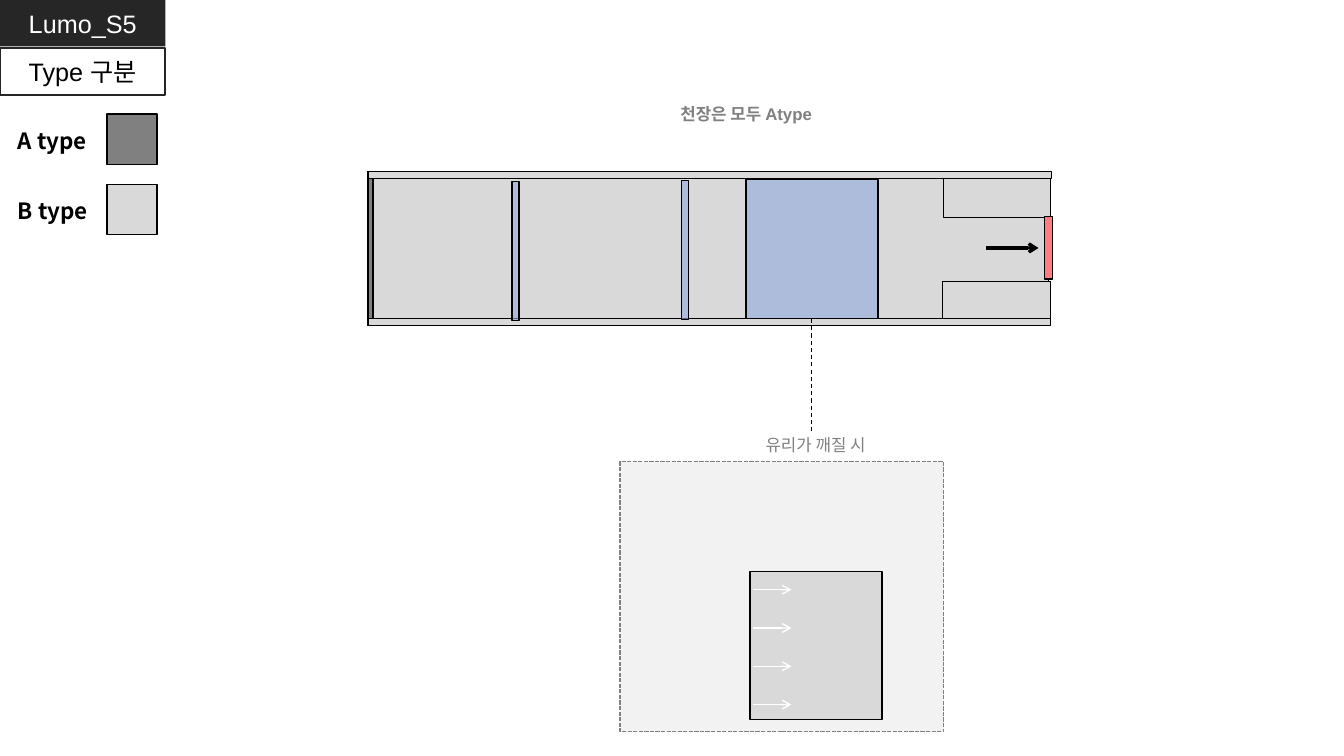
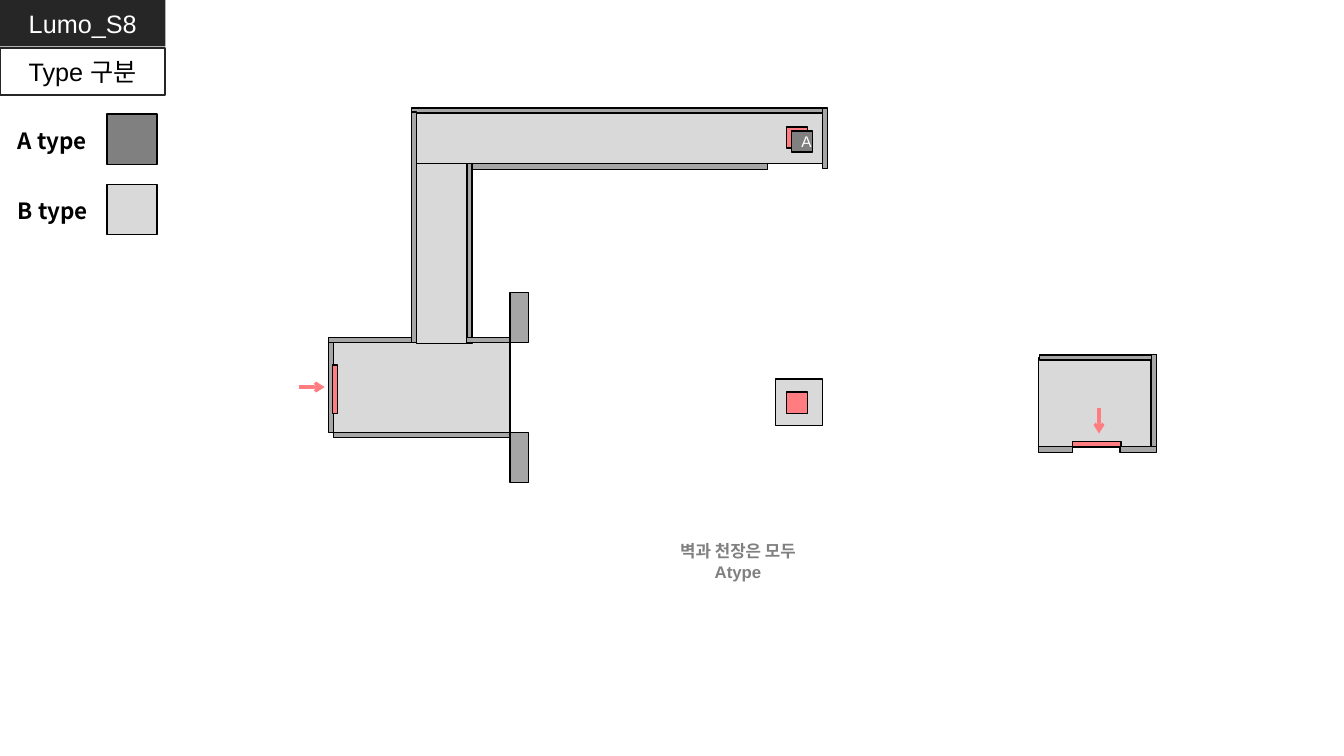
from lxml import etree
from pptx import Presentation
from pptx.dml.color import RGBColor
from pptx.enum import dml, shapes, text
from pptx.oxml import ns
from pptx.util import Inches, Pt

BLACK, WHITE, INK = "000000", "FFFFFF", "262626"
A_TYPE, B_TYPE, WALL = "808080", "D9D9D9", "A6A6A6"
DOOR, GLASS, PANEL = "FF7C80", "8FAADC", "F2F2F2"

LABEL = {"size": Pt(18), "name": "Arial", "bold": False}
LEGEND = {"size": Pt(16), "name": "Noto Sans CJK KR", "bold": True}
NOTE = {"size": Pt(12), "name": "Arial", "bold": False}
BOLD_NOTE = {**NOTE, "bold": True}
MARK = {**NOTE, "size": Pt(11)}
CENTER, LEFT = text.PP_ALIGN.CENTER, text.PP_ALIGN.LEFT
DASH, SHORT_DASH = dml.MSO_LINE.DASH, dml.MSO_LINE.SQUARE_DOT


def rgb(color):
    """Turn a hex string into a colour."""
    return RGBColor.from_string(color)


def apply_format(target, values):
    """Set each attribute named in a dict."""
    for name, value in values.items():
        setattr(target, name, value)


def place(shape, box):
    """Move and size a shape, in inches."""
    edges = (Inches(value) for value in box)
    apply_format(shape, dict(zip(("left", "top", "width", "height"), edges)))


def write(shape, words, font, color, align=CENTER, grow=False):
    """Put one formatted paragraph into a shape."""
    frame = shape.text_frame
    sizing, anchor = text.MSO_AUTO_SIZE, text.MSO_ANCHOR
    apply_format(frame, {
        "word_wrap": True,
        "auto_size": sizing.SHAPE_TO_FIT_TEXT if grow else sizing.NONE,
        "vertical_anchor": anchor.TOP if grow else anchor.MIDDLE,
    })
    paragraph = frame.paragraphs[0]
    paragraph.alignment = align
    run = paragraph.add_run()
    run.text = words
    apply_format(run.font, font)
    run.font.color.rgb = rgb(color)


def set_line(line, color, width, dash=None):
    """Colour a line and set its width and dash."""
    line.color.rgb = rgb(color)
    line.width = Pt(width)
    if dash:
        line.dash_style = dash


def add_box(slide, box, fill, line=BLACK, width=1, dash=None, opacity=100):
    """Add an outlined rectangle."""
    shape = slide.shapes.add_shape(
        shapes.MSO_SHAPE.RECTANGLE, *(Inches(value) for value in box))
    shape.shadow.inherit = False
    shape.fill.solid()
    shape.fill.fore_color.rgb = rgb(fill)
    set_line(shape.line, line, width, dash)
    if opacity < 100:
        color = shape.fill._xPr.find(".//" + ns.qn("a:srgbClr"))
        etree.SubElement(color, ns.qn("a:alpha"), val=str(opacity * 1000))
    return shape


def add_boxes(slide, fill, boxes, opacity=100):
    """Add rectangles that share one fill."""
    for box in boxes:
        add_box(slide, box, fill, opacity=opacity)


def add_text(slide, box, words, font, color, align=CENTER):
    """Add a text box that grows with its text."""
    shape = slide.shapes.add_textbox(*(Inches(value) for value in box))
    write(shape, words, font, color, align, grow=True)


def add_line(slide, start, end, color, width, dash=None, arrow=True):
    """Add a straight connector, with an arrowhead at its end if asked."""
    connector = slide.shapes.add_connector(
        shapes.MSO_CONNECTOR.STRAIGHT,
        *(Inches(value) for value in (*start, *end)))
    set_line(connector.line, color, width, dash)
    if arrow:
        etree.SubElement(connector.line._get_or_add_ln(),
                         ns.qn("a:tailEnd"), type="arrow")
    etree.SubElement(connector._element.spPr, ns.qn("a:effectLst"))


def add_plan_slide(presentation, name):
    """Add a slide with the title, the subtitle and the type legend."""
    slide = presentation.slides.add_slide(presentation.slide_layouts[5])
    title = slide.shapes.title
    place(title, (0, 0, 1.64, 0.46))
    title.fill.solid()
    title.fill.fore_color.rgb = rgb(INK)
    write(title, name, LABEL, WHITE)
    subtitle = add_box(slide, (0, 0.48, 1.64, 0.46), WHITE, INK, 1.5)
    write(subtitle, "Type 구분", LABEL, BLACK)
    for row, (label, fill) in enumerate((("A type", A_TYPE), ("B type", B_TYPE))):
        top = 1.13 + row * 0.7
        add_box(slide, (1.06, top, 0.5, 0.5), fill)
        add_text(slide, (0.08, top + 0.08, 1.07, 0.37), label, LEGEND, BLACK, LEFT)
    return slide


def draw_corridor(slide):
    """Draw the corridor with its glass partitions and exit."""
    add_boxes(slide, B_TYPE, [(7.4, 1.76, 3, 1.47)])
    add_boxes(slide, A_TYPE, [(3.65, 1.7, 0.07, 1.53)])
    add_boxes(slide, B_TYPE, [
        (3.7, 1.76, 3.7, 1.47),
        (9.35, 2.79, 1.07, 0.43),
        (9.36, 1.76, 1.06, 0.4),
        (3.65, 3.16, 6.77, 0.07),
        (3.65, 1.7, 6.78, 0.07),
    ])
    add_boxes(slide, DOOR, [(10.36, 2.15, 0.08, 0.62)])
    add_line(slide, (9.78, 2.46), (10.3, 2.46), BLACK, 2.25)
    add_boxes(slide, GLASS, [
        (5.08, 1.8, 0.07, 1.38),
        (6.76, 1.79, 0.07, 1.38),
        (7.4, 1.78, 1.31, 1.38),
    ], opacity=60)
    add_text(slide, (6.54, 0.98, 1.72, 0.3), "천장은 모두 Atype", BOLD_NOTE, A_TYPE)


def draw_broken_glass(slide):
    """Draw the detail of the room once its glass is broken."""
    add_line(slide, (8.05, 4.28), (8.05, 3.16), BLACK, 0.75, DASH, arrow=False)
    add_box(slide, (6.15, 4.58, 3.21, 2.68), PANEL, A_TYPE, 1, SHORT_DASH)
    add_text(slide, (7.23, 4.26, 1.72, 0.3), "유리가 깨질 시", NOTE, A_TYPE)
    add_boxes(slide, B_TYPE, [(7.44, 5.67, 1.31, 1.47)])
    for row in range(4):
        height = 5.85 + row * 0.38
        add_line(slide, (7.47, height), (7.85, height), WHITE, 1)


def draw_rooms(slide):
    """Draw floors, doors and entry arrows of the three rooms."""
    add_boxes(slide, WALL, [
        (3.26, 3.35, 0.05, 0.94),
        (4.08, 1.07, 4.08, 0.05),
        (4.66, 1.62, 2.95, 0.06),
    ])
    add_boxes(slide, B_TYPE, [(3.31, 3.4, 1.75, 0.89), (4.13, 1.62, 0.5, 1.79)])
    add_boxes(slide, DOOR, [(3.3, 3.62, 0.05, 0.48)])
    add_line(slide, (2.97, 3.84), (3.22, 3.84), DOOR, 2.25)
    add_boxes(slide, B_TYPE, [
        (4.13, 1.12, 4.03, 0.5),
        (7.69, 3.76, 0.47, 0.46),
        (10.3, 3.55, 1.11, 0.89),
    ])
    add_boxes(slide, DOOR, [(7.8, 3.89, 0.21, 0.21), (7.8, 1.26, 0.21, 0.21)])
    marker = add_box(slide, (7.85, 1.3, 0.21, 0.21), A_TYPE)
    write(marker, "A", MARK, WHITE)
    add_boxes(slide, DOOR, [(10.64, 4.38, 0.48, 0.05)])
    add_line(slide, (10.9, 4.05), (10.9, 4.3), DOOR, 2.25)


def draw_walls(slide):
    """Draw the walls around the rooms and their caption."""
    add_boxes(slide, WALL, [
        (5.06, 2.9, 0.18, 0.5),
        (5.06, 4.29, 0.18, 0.5),
        (3.31, 4.29, 1.75, 0.05),
        (4.63, 1.62, 0.05, 1.79),
        (3.26, 3.35, 0.87, 0.05),
        (4.63, 3.35, 0.43, 0.05),
        (4.08, 1.11, 0.05, 2.29),
        (8.16, 1.07, 0.05, 0.6),
        (10.31, 3.52, 1.16, 0.05),
        (11.42, 3.52, 0.05, 0.94),
        (11.11, 4.43, 0.36, 0.06),
        (10.3, 4.43, 0.34, 0.06),
    ])
    add_text(slide, (6.46, 5.32, 1.72, 0.5), "벽과 천장은 모두 Atype",
             BOLD_NOTE, A_TYPE)


def main():
    """Build both plans and save them."""
    presentation = Presentation()
    apply_format(presentation, {"slide_width": Inches(13.33),
                                "slide_height": Inches(7.5)})
    plans = {
        "Lumo_S5": (draw_corridor, draw_broken_glass),
        "Lumo_S8": (draw_rooms, draw_walls),
    }
    for name, drawings in plans.items():
        slide = add_plan_slide(presentation, name)
        for draw in drawings:
            draw(slide)
    presentation.save("out.pptx")


main()
